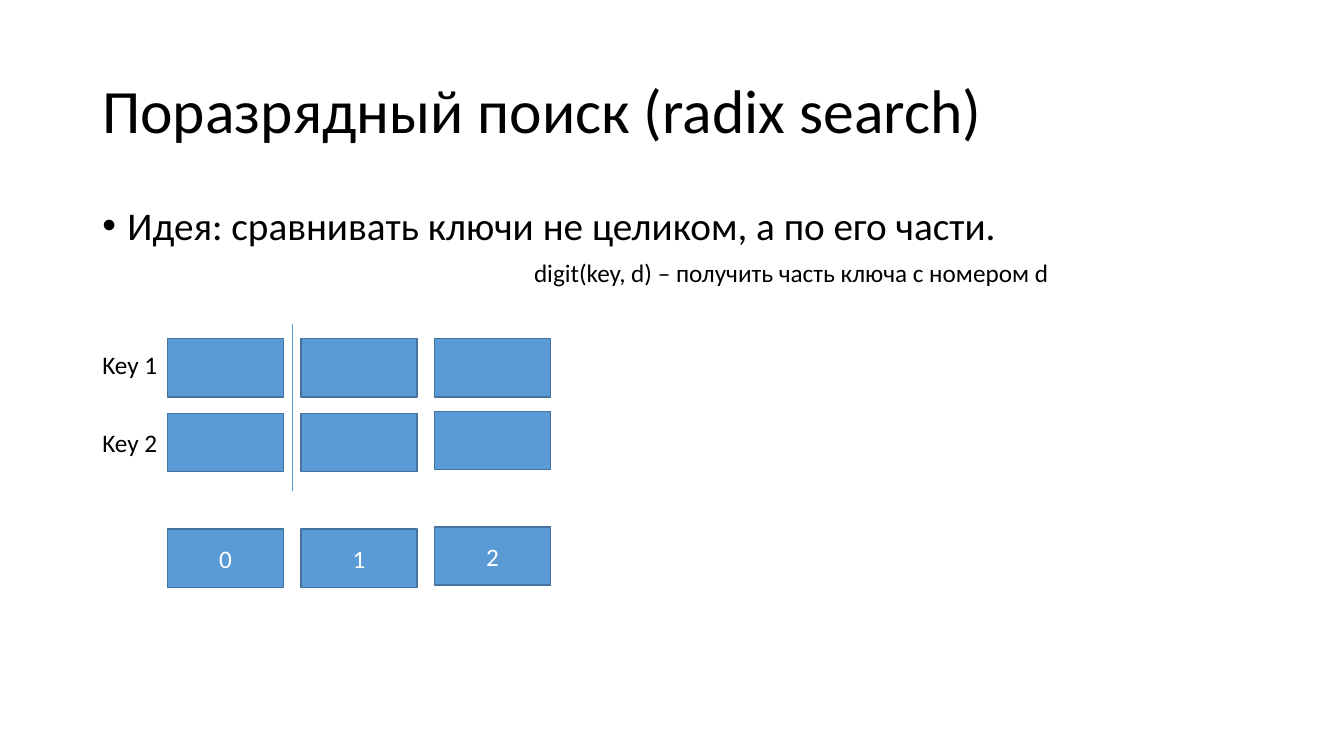
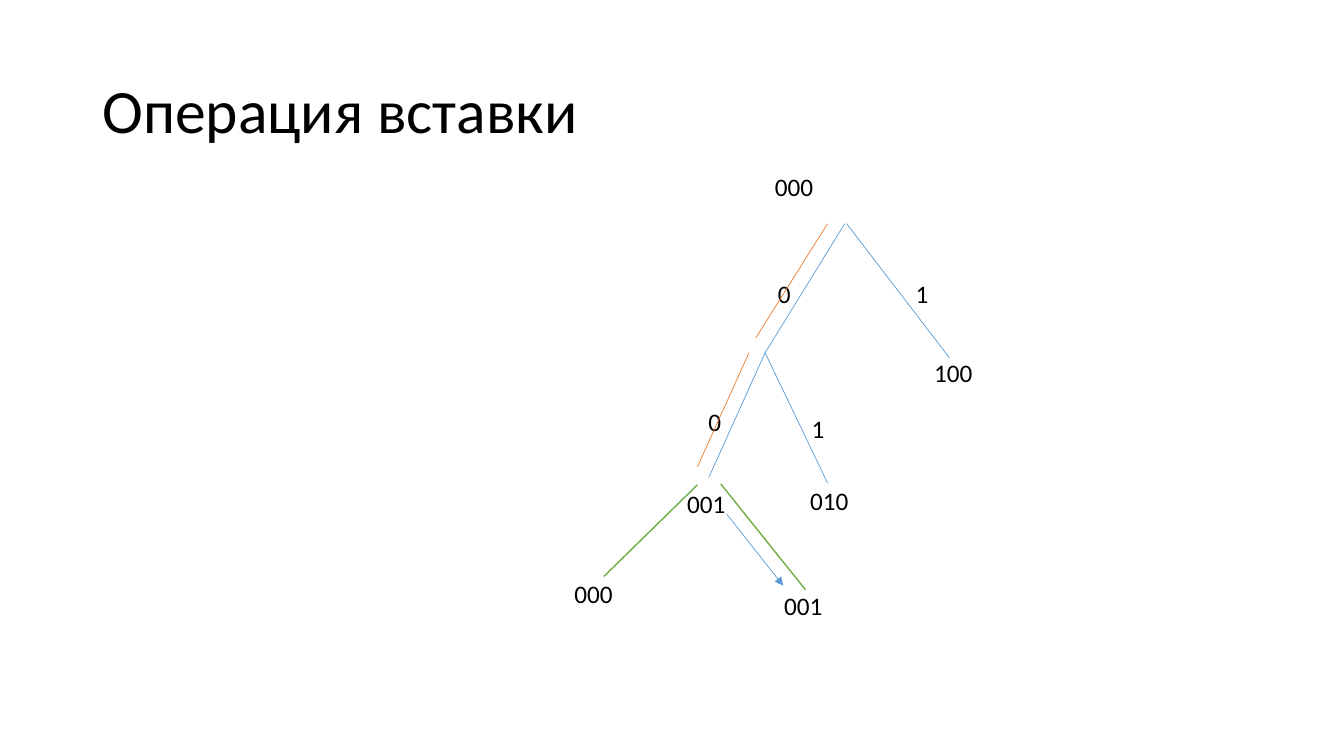
from dataclasses import dataclass

from lxml.etree import SubElement
from pptx import Presentation
from pptx.dml.color import RGBColor
from pptx.enum.shapes import MSO_CONNECTOR, MSO_SHAPE
from pptx.enum.text import MSO_ANCHOR, PP_ALIGN
from pptx.oxml.ns import qn
from pptx.util import Pt


@dataclass(frozen=True)
class Theme:
    font: str = "Calibri"
    black: RGBColor = RGBColor(0x00, 0x00, 0x00)
    white: RGBColor = RGBColor(0xFF, 0xFF, 0xFF)
    blue: RGBColor = RGBColor(0x5B, 0x9B, 0xD5)
    border: RGBColor = RGBColor(0x43, 0x73, 0x9E)
    orange: RGBColor = RGBColor(0xED, 0x7D, 0x31)
    green: RGBColor = RGBColor(0x70, 0xAD, 0x47)
    title: float = 44
    body: float = 28
    label: float = 18
    thin: float = 0.5
    thick: float = 1


T = Theme()


def add_text(s, text, left, top, width, height=28.8, size=T.label, wrap=True):
    sp = s.shapes.add_textbox(Pt(left), Pt(top), Pt(width), Pt(height))
    tf = sp.text_frame
    tf.word_wrap = wrap
    tf.text = text
    p = tf.paragraphs[0]
    font = p.runs[0].font
    font.name, font.size, font.color.rgb = T.font, Pt(size), T.black
    if size > T.label:
        p.line_spacing = 0.9
    return sp


def add_line(s, start, end, color=T.blue, weight=T.thin):
    cx = s.shapes.add_connector(MSO_CONNECTOR.STRAIGHT, *map(Pt, start + end))
    cx.line.color.rgb = color
    cx.line.width = Pt(weight)
    SubElement(cx.element.spPr, qn("a:effectLst"))
    return cx


prs = Presentation()
prs.slide_width, prs.slide_height = Pt(960), Pt(540)

# Slides with their titles
slides = []
for title in ("Поразрядный поиск (radix search)", "Операция вставки"):
    s = prs.slides.add_slide(prs.slide_layouts[6])
    sp = add_text(s, title, 66, 28.8, 828, 104.4, T.title)
    sp.text_frame.vertical_anchor = MSO_ANCHOR.MIDDLE
    slides.append(s)
search, insertion = slides

# Idea bullet
sp = add_text(search, "Идея: сравнивать ключи не целиком, а по его части.",
              66, 143.8, 828, 342.6, T.body)
p = sp.text_frame.paragraphs[0]
p.space_before = Pt(10)
pPr = p._p.get_or_add_pPr()
pPr.set("marL", str(Pt(18)))
pPr.set("indent", str(-Pt(18)))
SubElement(pPr, qn("a:buFont")).set("typeface", "Arial")
SubElement(pPr, qn("a:buChar")).set("char", "•")

# Key parts: row top, shift of the last cell, cell texts
key_rows = [(241.9, 0, ("", "", "")),
            (295.4, -1.6, ("", "", "")),
            (378, -1.6, ("0", "1", "2"))]
for top, last_shift, digits in key_rows:
    for col, digit in enumerate(digits):
        y = top + (last_shift if col == 2 else 0)
        sp = search.shapes.add_shape(MSO_SHAPE.RECTANGLE, Pt(119.6 + 95.4 * col),
                                     Pt(y), Pt(83), Pt(41.6))
        sp.shadow.inherit = False
        sp.fill.solid()
        sp.fill.fore_color.rgb = T.blue
        sp.line.color.rgb = T.border
        sp.line.width = Pt(T.thick)
        if digit:
            tf = sp.text_frame
            tf.text = digit
            tf.vertical_anchor = MSO_ANCHOR.MIDDLE
            p = tf.paragraphs[0]
            p.alignment = PP_ALIGN.CENTER
            font = p.runs[0].font
            font.name, font.size, font.color.rgb = T.font, Pt(T.label), T.white

# Divider and captions
add_line(search, (208.8, 231.1), (208.8, 350.6))
add_text(search, "Key 1", 66, 245.8, 69.8)
add_text(search, "Key 2", 66, 301.4, 69.8)
add_text(search, "digit(key, d) – получить часть ключа с номером d",
         374.4, 180, 391, wrap=False)

# Tree branches
fork = (546.5, 252)
branches = [((603.4, 159.8), fork),
            ((604.8, 159.8), (678.2, 255.6)),
            (fork, (506.2, 341.3)),
            (fork, (591.1, 344.9))]
for start, end in branches:
    add_line(insertion, start, end)

# Node keys and branch digits
tree_labels = [("001", 483.8, 345.6), ("010", 571.7, 343.4), ("100", 660.2, 252),
               ("000", 546.5, 118.8), ("0", 548.6, 195.1), ("1", 646.9, 195.1),
               ("1", 572.6, 291.8), ("0", 499, 286.8),
               ("000", 403.2, 409.7), ("001", 553, 418.3)]
for text, left, top in tree_labels:
    add_text(insertion, text, left, top, 14 + 14 * len(text))

# Search path
for start, end in [((591.1, 159.8), (540, 241.2)), ((535, 252), (498.2, 333.4))]:
    add_line(insertion, start, end, T.orange)

# New branches
for start, end in [((498.2, 346.3), (431.3, 411.8)), ((514.8, 345.6), (575.3, 421.2))]:
    add_line(insertion, start, end, T.green, T.thick)

# Arrow to the moved key
arrow = add_line(insertion, (519.1, 367.2), (559.4, 418.3))
SubElement(arrow.line._get_or_add_ln(), qn("a:tailEnd")).set("type", "triangle")

prs.save("out.pptx")
